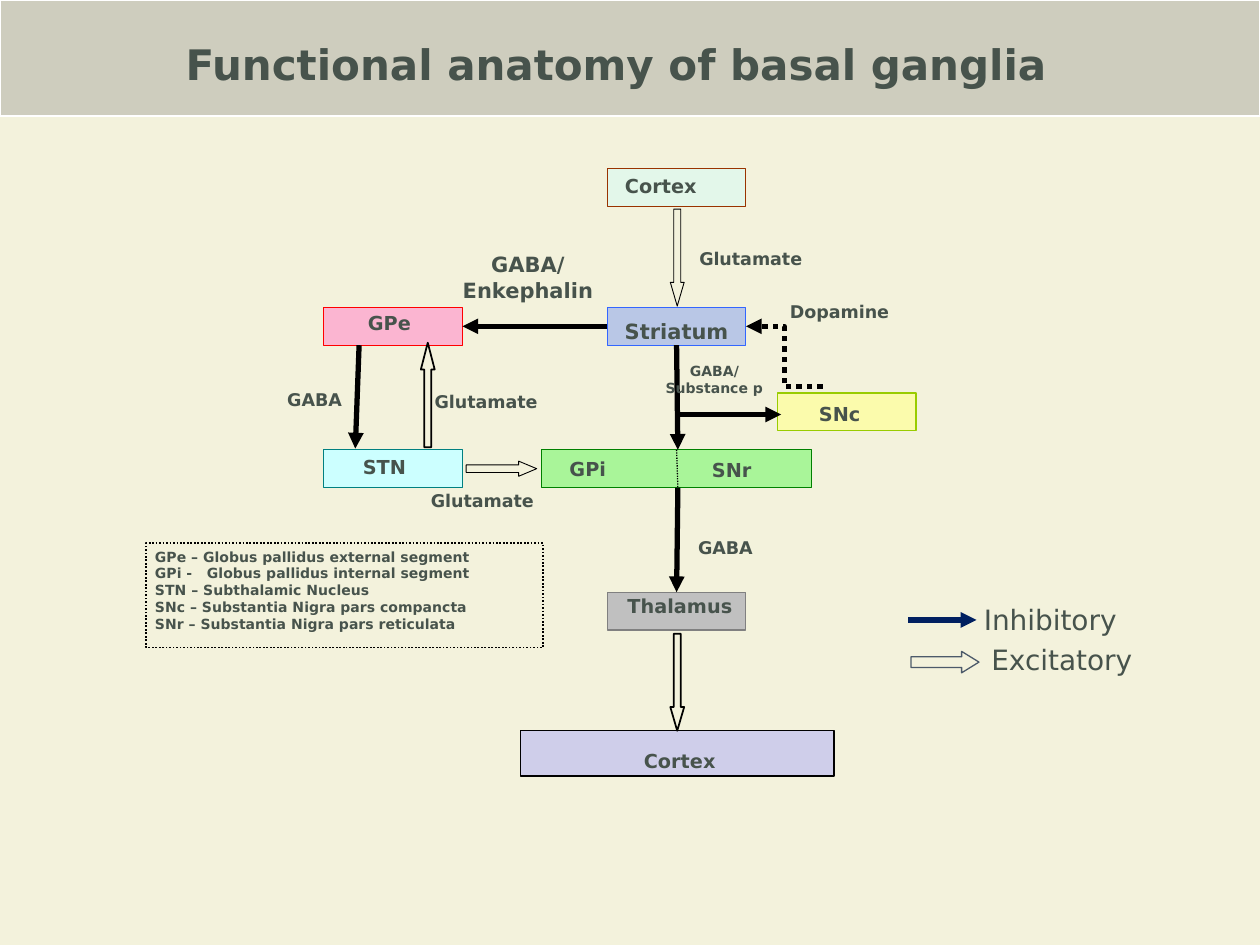
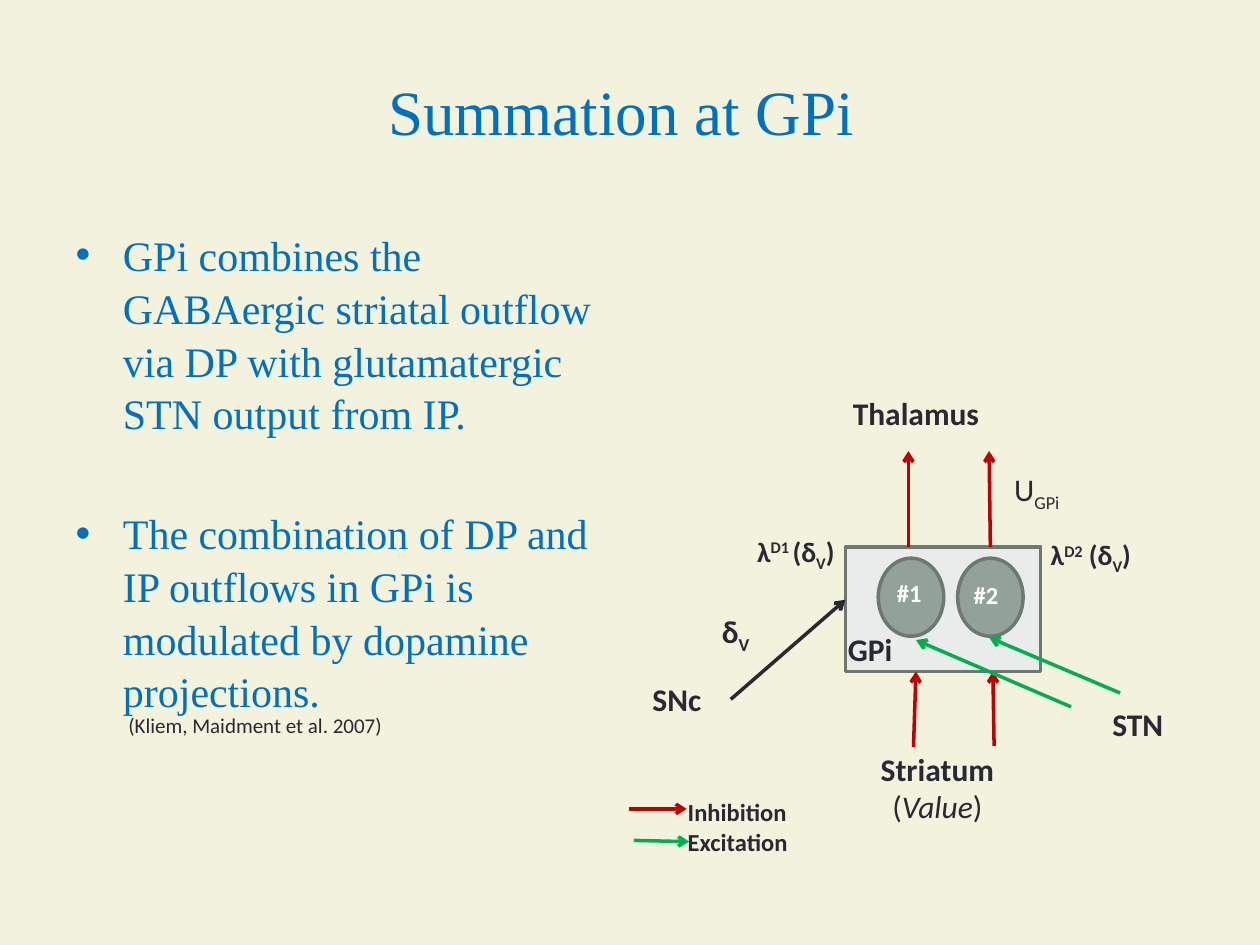
from lxml.etree import SubElement
from pptx import Presentation
from pptx.dml.color import RGBColor
from pptx.enum.dml import MSO_LINE as Dash
from pptx.enum.shapes import MSO_CONNECTOR as Conn, MSO_SHAPE as Shape
from pptx.enum.text import MSO_ANCHOR as Anchor, MSO_AUTO_SIZE as AutoSize, PP_ALIGN as Align
from pptx.oxml.ns import qn
from pptx.util import Pt

PX = 9144  # 100 px to the inch

# Shared look
SANS, SERIF, CALIBRI = "DejaVu Sans", "Times New Roman", "Calibri"
CREAM, WHITE, BLACK = RGBColor(243, 242, 220), RGBColor(255, 255, 255), RGBColor(0, 0, 0)
SLATE, INK, BLUE = RGBColor(71, 83, 76), RGBColor(41, 41, 52), RGBColor(0, 112, 192)
GRAY, SILVER = RGBColor(128, 128, 128), RGBColor(192, 192, 192)
NAVY, STEEL = RGBColor(0, 32, 96), RGBColor(76, 90, 106)
RED, PINK, BROWN = RGBColor(255, 0, 0), RGBColor(255, 153, 204), RGBColor(153, 51, 0)
LIME, GREEN, OLIVE = RGBColor(0, 255, 0), RGBColor(0, 128, 0), RGBColor(153, 204, 0)
AQUA, TEAL, YELLOW = RGBColor(204, 255, 255), RGBColor(0, 128, 128), RGBColor(255, 255, 153)
ROYAL, VIOLET = RGBColor(51, 102, 255), RGBColor(153, 153, 255)
INHIBIT, EXCITE = RGBColor(192, 0, 0), RGBColor(0, 176, 80)
SAGE, SAGE_DARK, SAGE_PALE = RGBColor(147, 162, 153), RGBColor(109, 120, 113), RGBColor(233, 236, 235)

# Slide 1: circuit of the basal ganglia
ANATOMY_TITLE = "Functional anatomy of basal ganglia"
NODES = [  # box, fill, opacity %, outline
    ((257, 357, 110, 30), AQUA, 100, TEAL),       # STN
    ((430, 357, 214, 30), LIME, 30, GREEN),       # GPi and SNr
    ((257, 244, 110, 30), PINK, 68, RED),         # GPe
    ((482, 470, 110, 30), SILVER, 100, GRAY),     # Thalamus
    ((617, 312, 110, 30), YELLOW, 70, OLIVE),     # SNc
    ((482, 134, 110, 30), AQUA, 40, BROWN),       # upper Cortex
    ((482, 244, 110, 30), ROYAL, 30, ROYAL),      # Striatum
    ((413, 580, 249, 36), VIOLET, 40, BLACK),     # lower Cortex
]
INHIBITORY = [  # start, end, colour
    ((482, 259), (367, 259), BLACK),
    ((285, 274), (282, 356), BLACK),
    ((537, 274), (538, 357), BLACK),
    ((538, 387), (537, 470), BLACK),
    ((537, 329), (620, 329), BLACK),
    ((721, 492), (775, 492), NAVY),
]
EXCITATORY = [  # shape, box, head length, outline, width
    (Shape.DOWN_ARROW, (532, 166, 11, 77), 1.72, BLACK, 0.5),
    (Shape.DOWN_ARROW, (532, 503, 11, 77), 1.71, BLACK, 1),
    (Shape.UP_ARROW, (334, 272, 11, 83), 1.94, BLACK, 1),
    (Shape.RIGHT_ARROW, (370, 366, 56, 12), 1.19, BLACK, 0.5),
    (Shape.RIGHT_ARROW, (723, 517, 54, 17), 0.81, STEEL, 0.75),
]
NODE_LABELS = [  # text, box, size, alignment
    ("Cortex", (489, 134, 93, 29), 11, Align.LEFT),
    ("GPe", (285, 243, 71, 29), 11, Align.LEFT),
    ("Striatum", (468, 249, 138, 36), 12, Align.CENTER),
    ("SNc", (643, 315, 74, 29), 11, Align.LEFT),
    ("STN", (281, 357, 68, 29), 11, Align.LEFT),
    ("GPi", (445, 359, 60, 29), 11, Align.LEFT),
    ("SNr", (558, 360, 62, 29), 11, Align.LEFT),
    ("Thalamus", (491, 468, 115, 43), 11, Align.LEFT),
    ("Cortex", (421, 591, 237, 26), 11, Align.CENTER),
]
TRANSMITTERS = [
    ("Glutamate", (548, 193, 96, 21), 10, Align.LEFT),
    ("GABA/\nEnkephalin", (349, 196, 140, 28), 12, Align.CENTER),
    ("Dopamine", (620, 235, 94, 21), 10, Align.LEFT),
    ("GABA/\nSubstance p", (518, 284, 98, 36), 8, Align.CENTER),
    ("GABA", (221, 305, 64, 21), 10, Align.LEFT),
    ("Glutamate", (338, 306, 113, 22), 10, Align.LEFT),
    ("Glutamate", (335, 385, 96, 22), 10, Align.LEFT),
    ("GABA", (547, 422, 68, 22), 10, Align.LEFT),
]
ABBREVIATIONS = """GPe – Globus pallidus external segment
GPi -   Globus pallidus internal segment
STN – Subthalamic Nucleus
SNc – Substantia Nigra pars compancta
SNr – Substantia Nigra pars reticulata"""
ARROW_KEY = [("Inhibitory", (771, 473, 130, 37)), ("Excitatory", (777, 505, 146, 37))]

# Slide 2: summation
SUMMATION_TITLE = "Summation at GPi"
POINTS = [
    "GPi combines the GABAergic striatal outflow via DP with glutamatergic STN output from IP.",
    "The combination of DP and IP outflows in GPi is modulated by dopamine projections.",
]
GPI_PARTS = [  # shape, box, fill
    (Shape.RECTANGLE, (671, 434, 155, 99), SAGE_PALE),
    (Shape.OVAL, (697, 443, 52, 62), SAGE),
    (Shape.OVAL, (760, 443, 52, 62), SAGE),
]
PROJECTIONS = [  # start, end, colour
    ((499, 642), (545, 642), INHIBIT),
    ((503, 667), (547, 668), EXCITE),
    ((725, 593), (727, 533), INHIBIT),
    ((789, 592), (788, 533), INHIBIT),
    ((889, 550), (785, 506), EXCITE),
    ((850, 561), (727, 508), EXCITE),
    ((580, 555), (671, 476), INK),
    ((721, 434), (721, 358), INHIBIT),
    ((786, 434), (785, 358), INHIBIT),
]
CIRCUIT_LABELS = [  # text, box, size, bold, colour
    ("Inhibition\nExcitation", (536, 628, 115, 71), 14, True, INK),
    ("GPi", (663, 495, 62, 40), 18, True, INK),
    ("Thalamus", (667, 308, 130, 44), 18, True, INK),
    ("STN", (873, 555, 67, 44), 18, True, INK),
    ("SNc", (508, 535, 65, 44), 18, True, INK),
    ("#1", (702, 454, 46, 42), 14, True, WHITE),
    ("#2", (763, 455, 46, 42), 14, True, WHITE),
    ("(Kliem, Maidment et al. 2007)", (92, 561, 235, 30), 12, False, INK),
]
SYMBOLS = [  # (text, baseline shift %) pieces, box, size, bold
    ([("δ", 0), ("V", -25)], (563, 481, 55, 51), 18, True),
    ([("λ", 0), ("D1 ", 30), ("(δ", 0), ("V", -25), (")", 0)], (591, 419, 92, 40), 16, True),
    ([("λ", 0), ("D2", 30), (" (δ", 0), ("V", -25), (")", 0)], (824, 422, 122, 37), 16, True),
    ([("U", 0), ("GPi", -25)], (795, 368, 79, 50), 18, False),
]
STRIATUM_BOX = (677, 590, 134, 77)


def emu(lengths):
    return [length * PX for length in lengths]


def style(paragraph, font, size, color, bold=False, align=Align.LEFT):
    paragraph.alignment = align
    paragraph.font.name, paragraph.font.size = font, Pt(size)
    paragraph.font.bold, paragraph.font.color.rgb = bold, color


def write(shape, text, font, size, color, bold=False, align=Align.LEFT, inset=(10, 5)):
    frame = shape.text_frame
    frame.word_wrap = True
    frame.margin_left = frame.margin_right = inset[0] * PX
    frame.margin_top = frame.margin_bottom = inset[1] * PX
    frame.text = text
    for paragraph in frame.paragraphs:
        style(paragraph, font, size, color, bold, align)
    return frame


def add_label(slide, box, *args, **kwargs):
    return write(slide.shapes.add_textbox(*emu(box)), *args, **kwargs)


def add_part(slide, kind, box, fill, outline, width, opacity=100):
    part = slide.shapes.add_shape(kind, *emu(box))
    part.shadow.inherit = False
    if fill is None:
        part.fill.background()
    else:
        part.fill.solid()
        part.fill.fore_color.rgb = fill
        if opacity < 100:
            color = part._element.spPr.find(qn("a:solidFill"))[0]
            SubElement(color, qn("a:alpha")).set("val", str(opacity * 1000))
    part.line.color.rgb, part.line.width = outline, Pt(width)
    return part


def add_line(slide, start, end, color, width, head=None, kind=Conn.STRAIGHT, dash=None):
    link = slide.shapes.add_connector(kind, *emu(start + end))
    link.line.color.rgb, link.line.width = color, Pt(width)
    if dash:
        link.line.dash_style = dash
    properties = link._element.spPr
    if head:
        SubElement(properties.find(qn("a:ln")), qn("a:tailEnd")).set("type", head)
    SubElement(properties, qn("a:effectLst"))


def place(holder, box):
    holder.left, holder.top, holder.width, holder.height = emu(box)
    holder.text_frame.auto_size = AutoSize.NONE


def add_titled_slide(prs, layout, title, box, *look):
    slide = prs.slides.add_slide(prs.slide_layouts[layout])
    place(slide.shapes.title, box)
    frame = write(slide.shapes.title, title, *look, align=Align.CENTER)
    frame.vertical_anchor = Anchor.MIDDLE
    return slide


def build_anatomy(prs):
    slide = add_titled_slide(prs, 5, ANATOMY_TITLE, (126, 25, 726, 51), SANS, 24, SLATE, True)
    band = add_part(slide, Shape.RECTANGLE, (0, 0, 1000, 92), GRAY, WHITE, 0.75, 32)
    slide.shapes.title._element.addprevious(band._element)

    # Nuclei and pathways
    for box, fill, opacity, outline in NODES:
        add_part(slide, Shape.RECTANGLE, box, fill, outline, 0.75, opacity)
    for start, end, color in INHIBITORY:
        add_line(slide, start, end, color, 3, "triangle")
    add_line(slide, (653, 307), (592, 259), BLACK, 3, "triangle", Conn.ELBOW, Dash.ROUND_DOT)
    add_line(slide, (537, 357), (538, 387), BLACK, 0.75, dash=Dash.ROUND_DOT)
    for kind, box, head, outline, width in EXCITATORY:
        arrow = add_part(slide, kind, box, None, outline, width)
        arrow.adjustments[0], arrow.adjustments[1] = 0.5, head

    # Labels and keys
    for text, box, size, align in NODE_LABELS + TRANSMITTERS:
        add_label(slide, box, text, SANS, size, SLATE, True, align, inset=(7, 4))
    glossary = add_part(slide, Shape.RECTANGLE, (116, 431, 315, 83), None, BLACK, 1)
    glossary.line.dash_style = Dash.ROUND_DOT
    frame = write(glossary, ABBREVIATIONS, SANS, 8, SLATE, True, inset=(7, 4))
    frame.vertical_anchor = Anchor.TOP
    for text, box in ARROW_KEY:
        add_label(slide, box, text, SANS, 16, SLATE)


def build_summation(prs):
    slide = add_titled_slide(prs, 1, SUMMATION_TITLE, (43, 25, 900, 125), SERIF, 36, BLUE)
    points = slide.placeholders[1]
    place(points, (50, 175, 458, 495))
    frame = write(points, "\n".join(POINTS), SERIF, 24, BLUE)
    for index, paragraph in enumerate(frame.paragraphs):
        paragraph.line_spacing = 1.05
        paragraph.space_before = Pt(38 * index)

    # GPi and its projections
    for kind, box, fill in GPI_PARTS:
        add_part(slide, kind, box, fill, SAGE_DARK, 2)
    for start, end, color in PROJECTIONS:
        add_line(slide, start, end, color, 2, "arrow")

    # Labels
    for text, box, size, bold, color in CIRCUIT_LABELS:
        add_label(slide, box, text, CALIBRI, size, color, bold)
    for pieces, box, size, bold in SYMBOLS:
        paragraph = add_label(slide, box, "", CALIBRI, size, INK, bold).paragraphs[0]
        for text, shift in pieces:
            run = paragraph.add_run()
            run.text = text
            if shift:
                run._r.get_or_add_rPr().set("baseline", str(shift * 1000))
    striatum = add_label(slide, STRIATUM_BOX, "Striatum", CALIBRI, 18, INK, True, Align.CENTER)
    value = striatum.add_paragraph()
    for text in ("(", "Value", ")"):
        run = value.add_run()
        run.text = text
        run.font.italic = text == "Value"
    style(value, CALIBRI, 18, INK, align=Align.CENTER)


def main():
    prs = Presentation()
    prs.slide_width, prs.slide_height = emu((1000, 750))
    backdrop = prs.slide_master.background.fill
    backdrop.solid()
    backdrop.fore_color.rgb = CREAM
    build_anatomy(prs)
    build_summation(prs)
    prs.save("out.pptx")


if __name__ == "__main__":
    main()
